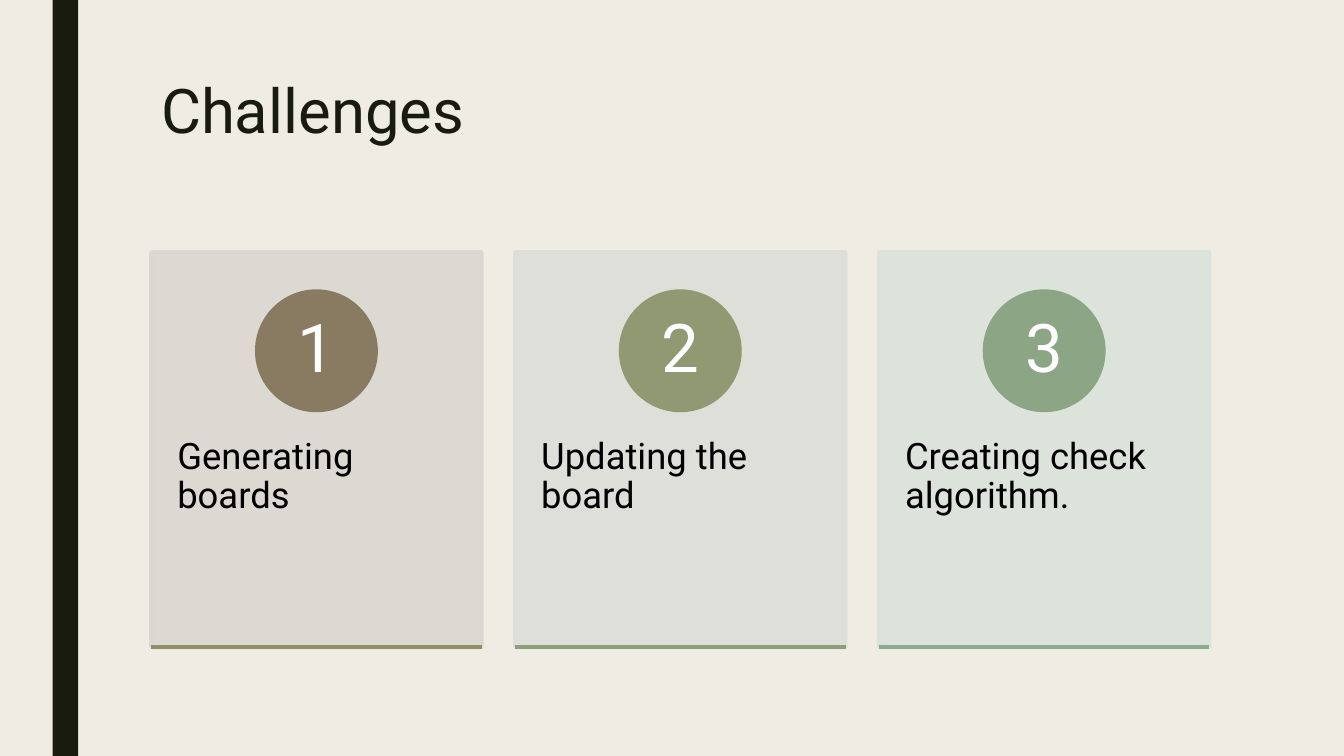
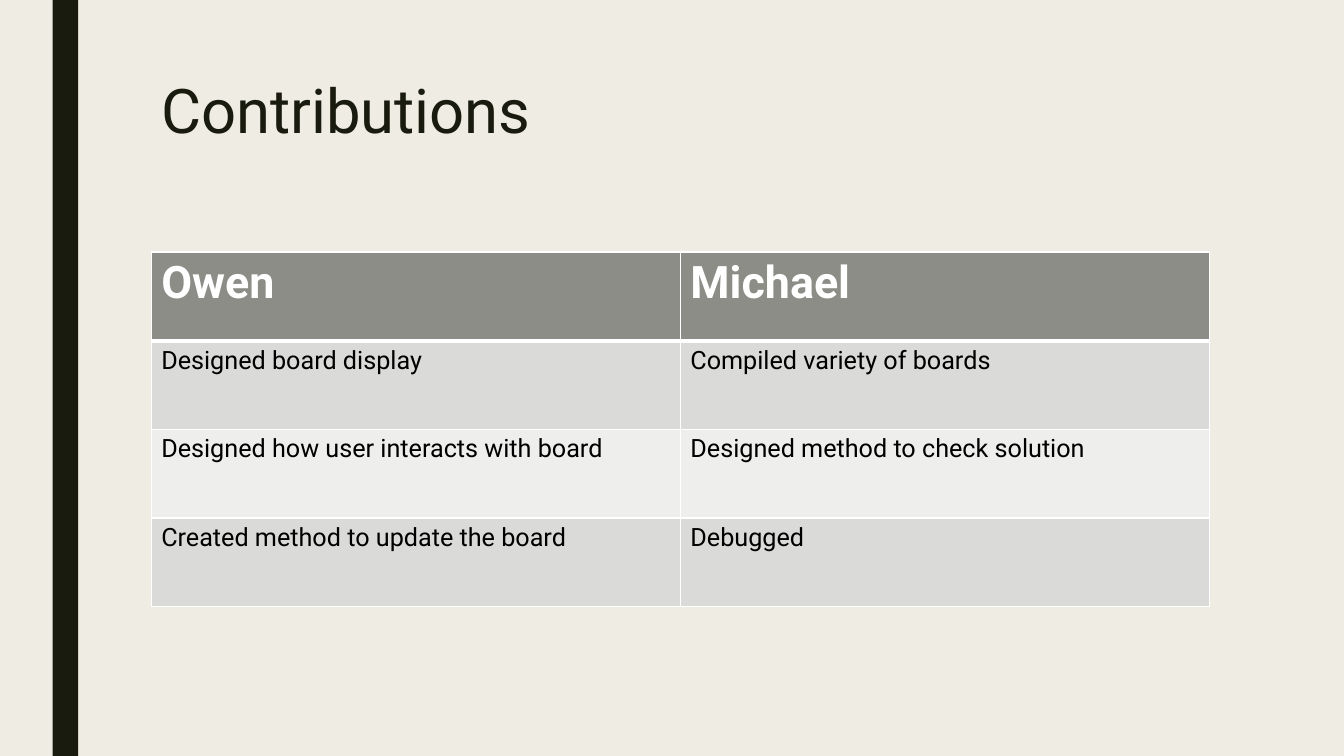
from dataclasses import dataclass

from lxml.etree import SubElement
from pptx import Presentation
from pptx.dml.color import RGBColor
from pptx.enum.shapes import MSO_CONNECTOR as Connector
from pptx.enum.shapes import MSO_SHAPE as Preset
from pptx.enum.text import MSO_ANCHOR as Anchor
from pptx.enum.text import PP_ALIGN as Align
from pptx.oxml.ns import qn
from pptx.util import Cm, Pt

SLIDE_WIDTH, SLIDE_HEIGHT = 33.87, 19.05
LEFT, CONTENT_TOP, CONTENT_WIDTH = 3.81, 6.35, 26.67
FONT = "Roboto"
BACKGROUND, DARK, BLACK, WHITE = "EFEDE3", "191B0E", "000000", "FFFFFF"
HEADER_FILL, BAND_FILLS = "8C8D86", ("DADBD9", "EEEEED")

CARD_WIDTH, CARD_HEIGHT = 8.33, 9.96
CIRCLE_SIZE, CIRCLE_OFFSET = 3.0, 0.99
LABEL_OFFSET, LABEL_HEIGHT = 3.78, 5.97
OUTLINE = 2.75
ROW_HEIGHT = 2.235


@dataclass(frozen=True)
class Card:
    label: str
    fill: str
    circle: str
    rule: str


CARDS = (
    Card("Generating boards", "DAD7D2", "897B61", "928F68"),
    Card("Updating the board", "DCDED7", "909971", "8D9F7A"),
    Card("Creating check algorithm.", "DBE2DB", "8CA584", "8DAB8E"),
)
CONTRIBUTIONS = (
    ("Owen", "Michael"),
    ("Designed board display", "Compiled variety of boards"),
    ("Designed how user interacts with board", "Designed method to check solution"),
    ("Created method to update the board", "Debugged"),
)


def paint(color_owner, color: str) -> None:
    color_owner.solid()
    color_owner.fore_color.rgb = RGBColor.from_string(color)


def write(frame, text: str, size: float, color: str, bold: bool = False,
          spacing: float = 1.0, align: Align = Align.LEFT) -> None:
    paragraph = frame.paragraphs[0]
    paragraph.alignment = align
    paragraph.line_spacing = spacing
    run = paragraph.add_run()
    run.text = text
    run.font.name = FONT
    run.font.size = Pt(size)
    run.font.bold = bold
    paint(run.font.fill, color)


def set_insets(frame, horizontal: float, vertical: float) -> None:
    frame.margin_left = frame.margin_right = Cm(horizontal)
    frame.margin_top = frame.margin_bottom = Cm(vertical)


def add_text(slide, left: float, top: float, width: float, height: float,
             text: str, size: float, color: str, spacing: float,
             insets: tuple[float, float]) -> None:
    frame = slide.shapes.add_textbox(Cm(left), Cm(top), Cm(width), Cm(height)).text_frame
    frame.word_wrap = True
    set_insets(frame, *insets)
    write(frame, text, size, color, spacing=spacing)


def add_filled(slide, preset: Preset, left: float, top: float, width: float,
               height: float, color: str, outline: float = 0):
    shape = slide.shapes.add_shape(preset, Cm(left), Cm(top), Cm(width), Cm(height))
    shape.shadow.inherit = False
    paint(shape.fill, color)
    if outline:
        paint(shape.line.fill, color)
        shape.line.width = Pt(outline)
    else:
        shape.line.fill.background()
    return shape


def set_opacity(shape, percent: int) -> None:
    for color in shape.element.spPr.iter(qn("a:srgbClr")):
        SubElement(color, qn("a:alpha"), val=str(percent * 1000))


def add_rule(slide, left: float, top: float, width: float, color: str) -> None:
    rule = slide.shapes.add_connector(
        Connector.STRAIGHT, Cm(left), Cm(top), Cm(left + width), Cm(top))
    paint(rule.line.fill, color)
    rule.line.width = Pt(OUTLINE)
    SubElement(rule.element.spPr, qn("a:effectLst"))


def add_titled_slide(presentation, title: str):
    slide = presentation.slides.add_slide(presentation.slide_layouts[6])
    add_filled(slide, Preset.RECTANGLE, 1.33, 0, 0.64, SLIDE_HEIGHT, DARK)
    add_text(slide, LEFT, 1.9, CONTENT_WIDTH, 4.11, title, 44, DARK, 0.89, (0.25, 0.13))
    return slide


def add_card(slide, number: int, left: float, card: Card) -> None:
    panel = add_filled(slide, Preset.RECTANGLE, left, CONTENT_TOP,
                       CARD_WIDTH, CARD_HEIGHT, card.fill, OUTLINE)
    set_opacity(panel, 90)
    add_text(slide, left, CONTENT_TOP + LABEL_OFFSET, CARD_WIDTH, LABEL_HEIGHT,
             card.label, 26, BLACK, 0.9, (0.66, 0.91))
    circle = add_filled(slide, Preset.OVAL, left + (CARD_WIDTH - CIRCLE_SIZE) / 2,
                        CONTENT_TOP + CIRCLE_OFFSET, CIRCLE_SIZE, CIRCLE_SIZE,
                        card.circle, OUTLINE)
    frame = circle.text_frame
    frame.vertical_anchor = Anchor.MIDDLE
    set_insets(frame, 0.23, 0.03)
    write(frame, str(number), 48, WHITE, spacing=0.9, align=Align.CENTER)
    add_rule(slide, left, CONTENT_TOP + CARD_HEIGHT, CARD_WIDTH, card.rule)


def set_borders(cell, top: float, bottom: float) -> None:
    properties = cell._tc.get_or_add_tcPr()
    for side, width in (("L", 1), ("R", 1), ("T", top), ("B", bottom)):
        line = SubElement(properties, qn(f"a:ln{side}"), w=str(Pt(width)))
        SubElement(SubElement(line, qn("a:solidFill")), qn("a:srgbClr"), val=WHITE)


def add_contribution_table(slide) -> None:
    rows, columns = len(CONTRIBUTIONS), len(CONTRIBUTIONS[0])
    table = slide.shapes.add_table(
        rows, columns, Cm(LEFT), Cm(CONTENT_TOP),
        Cm(CONTENT_WIDTH), Cm(ROW_HEIGHT * rows)).table
    for row_index, texts in enumerate(CONTRIBUTIONS):
        header = row_index == 0
        fill = HEADER_FILL if header else BAND_FILLS[(row_index - 1) % 2]
        for column_index, text in enumerate(texts):
            cell = table.cell(row_index, column_index)
            set_borders(cell, top=3 if row_index == 1 else 1, bottom=3 if header else 1)
            paint(cell.fill, fill)
            write(cell.text_frame, text, 32 if header else 18,
                  WHITE if header else BLACK, bold=header)


def main() -> None:
    presentation = Presentation()
    presentation.slide_width = Cm(SLIDE_WIDTH)
    presentation.slide_height = Cm(SLIDE_HEIGHT)
    paint(presentation.slide_master.background.fill, BACKGROUND)

    challenges = add_titled_slide(presentation, "Challenges")
    pitch = (CONTENT_WIDTH - CARD_WIDTH) / (len(CARDS) - 1)
    for index, card in enumerate(CARDS):
        add_card(challenges, index + 1, LEFT + index * pitch, card)

    add_contribution_table(add_titled_slide(presentation, "Contributions"))
    presentation.save("out.pptx")


if __name__ == "__main__":
    main()
